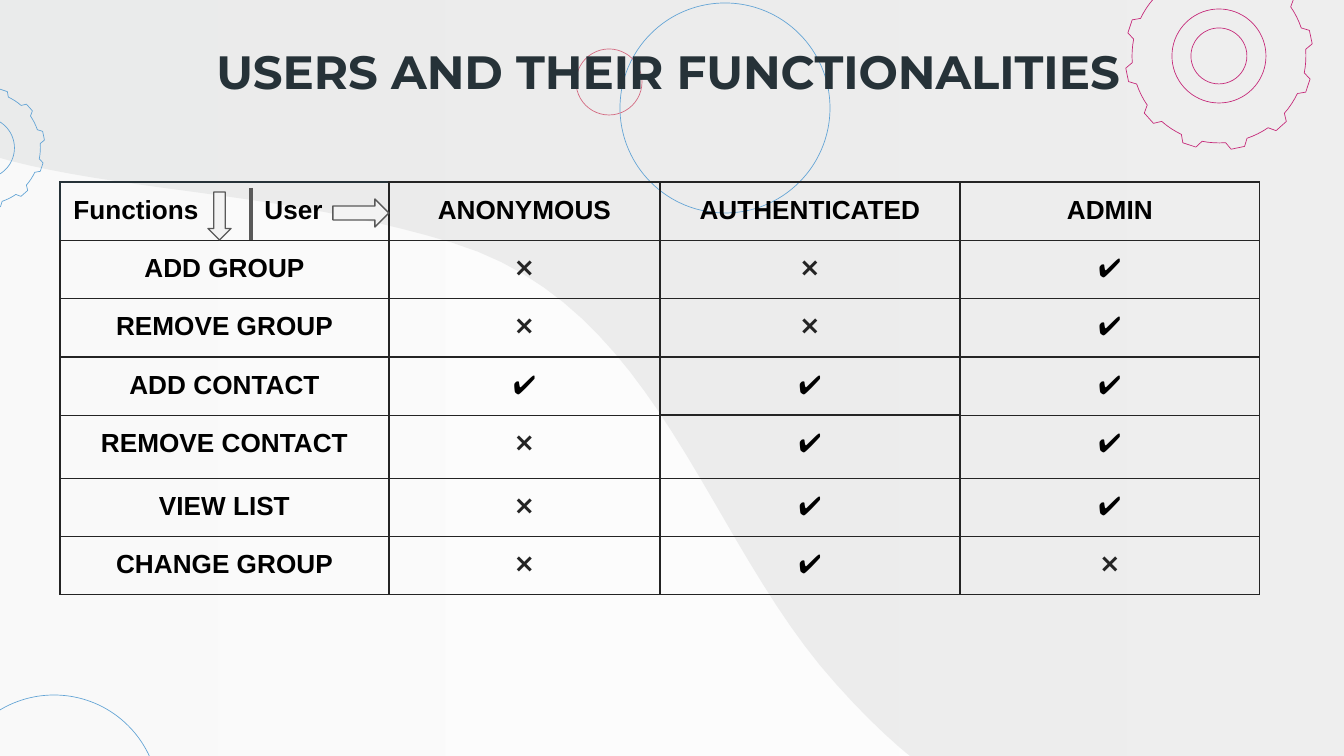
import math

import pptx
import pptx.dml.color
import pptx.enum.shapes
import pptx.enum.text
import pptx.oxml
import pptx.oxml.ns
import pptx.util

SHAPE = pptx.enum.shapes.MSO_SHAPE
ALIGN = pptx.enum.text.PP_ALIGN
ANCHOR = pptx.enum.text.MSO_ANCHOR
NS = pptx.oxml.ns.nsdecls("a")
qn = pptx.oxml.ns.qn
PX = 914400 / 134.4

TITLE = "USERS AND THEIR FUNCTIONALITIES"
HEADERS = ["Functions\tUser", "ANONYMOUS", "AUTHENTICATED", "ADMIN"]
ROWS = [
    ("ADD GROUP", "❌❌✔"),
    ("REMOVE GROUP", "❌❌✔"),
    ("ADD CONTACT", "✔✔✔"),
    ("REMOVE CONTACT", "❌✔✔"),
    ("VIEW LIST", "❌✔✔"),
    ("CHANGE GROUP", "❌✔❌"),
]
COL_WIDTHS = [329, 271, 300, 300]
ROW_HEIGHTS = [58, 58, 58, 58, 63, 58, 58]
TABLE_LEFT, TABLE_TOP = 60, 182
HEAVY_CELL = (3, 2)
USER_TAB = 191

BLUE, ROSE, PINK = "63A4D5", "D36980", "C52878"
INK, NAVY, GREY, PALE = "242424", "263238", "595959", "F3F3F3"

WAVE_START = (-249, -220)
WAVE_CURVES = [
    ((-246, -204), (-192, 66), (-74, 129)),
    ((48, 195), (247, 180), (453, 243)),
    ((659, 306), (704, 538), (836, 684)),
    ((966, 831), (1081, 855), (1223, 864)),
    ((1284, 868), (1325, 886), (1356, 905)),
]
WAVE_CORNER = (1356, -220)
CIRCLES = [
    (725, 108, 105, BLUE),
    (54, 800, 105, BLUE),
    (609, 82, 33, ROSE),
    (1219, 56, 28, PINK),
]
GEARS = [(-16, 148, 61, BLUE), (1219, 56, 94, PINK)]
TEETH, FIRST_TOOTH = 12, 168.4
ARROWS = [
    (SHAPE.DOWN_ARROW, 208, 192, 23, 48),
    (SHAPE.RIGHT_ARROW, 333, 199, 56, 28),
]


def emu(px):
    return pptx.util.Emu(round(px * PX))


def rgb(value):
    return pptx.dml.color.RGBColor.from_string(value)


def style(s, fill=None, line=None, width=0.36, alpha=None):
    s.shadow.inherit = False
    if fill:
        s.fill.solid()
        s.fill.fore_color.rgb = rgb(fill)
    else:
        s.fill.background()
    if line:
        s.line.color.rgb = rgb(line)
        s.line.width = pptx.util.Pt(width)
    else:
        s.line.fill.background()
    if alpha:
        set_alpha(s, alpha)


def set_alpha(s, percent):
    for color in s._element.spPr.iter(qn("a:srgbClr")):
        color.append(pptx.oxml.parse_xml(f'<a:alpha {NS} val="{percent * 1000}"/>'))


def add_preset(kind, x, y, w, h, **look):
    s = slide.shapes.add_shape(kind, emu(x), emu(y), emu(w), emu(h))
    style(s, **look)
    return s


def add_outline(contours, **look):
    contours = [[(emu(x), emu(y)) for x, y in points] for points in contours]
    builder = slide.shapes.build_freeform(*contours[0][0])
    builder.add_line_segments(contours[0][1:], close=True)
    for points in contours[1:]:
        builder.move_to(*points[0])
        builder.add_line_segments(points[1:], close=True)
    style(builder.convert_to_shape(), **look)


def bezier(a, b, c, d, steps=24):
    for i in range(1, steps + 1):
        t = i / steps
        u = 1 - t
        yield tuple(
            u**3 * p + 3 * u * u * t * q + 3 * u * t * t * m + t**3 * n
            for p, q, m, n in zip(a, b, c, d)
        )


def polar(cx, cy, radius, degrees):
    angle = math.radians(degrees)
    return cx + radius * math.cos(angle), cy + radius * math.sin(angle)


def gear(cx, cy, radius):
    root = radius * 0.925
    profile = [(7.2, root), (4.2, radius), (-4.2, radius), (-7.2, root),
               (-11.1, root), (-15, root), (-18.9, root)]
    rim = [polar(cx, cy, r, FIRST_TOOTH - k * 360 / TEETH + offset)
           for k in range(TEETH) for offset, r in profile]
    hole = [polar(cx, cy, radius / 2, a) for a in range(0, 360, 5)]
    return [rim, hole]


def add_run(p, text, size, font, color, bold):
    r = p.add_run()
    r.text = text
    r.font.size = pptx.util.Pt(size)
    r.font.name = font
    r.font.bold = bold
    r.font.color.rgb = rgb(color)


def set_border(cell, edge, color, width):
    cell._tc.get_or_add_tcPr().append(pptx.oxml.parse_xml(
        f'<a:ln{edge} {NS} w="{pptx.util.Pt(width)}"><a:solidFill>'
        f'<a:srgbClr val="{color}"/></a:solidFill></a:ln{edge}>'))


def fill_cell(cell, row, col, text):
    cell.margin_left = cell.margin_right = pptx.util.Inches(0.1)
    cell.margin_top = cell.margin_bottom = pptx.util.Inches(0.1)
    p = cell.text_frame.paragraphs[0]
    corner = row == col == 0
    if corner:
        p._p.get_or_add_pPr().append(pptx.oxml.parse_xml(
            f'<a:tabLst {NS}><a:tab pos="{emu(USER_TAB)}" algn="l"/></a:tabLst>'))
    else:
        p.alignment = ALIGN.CENTER
    color = INK if text == "❌" else "000000"
    add_run(p, text, 14, "Arial", color, row == 0 or col == 0)
    for edge, dr, dc in (("L", 0, -1), ("R", 0, 1), ("T", -1, 0), ("B", 1, 0)):
        heavy = HEAVY_CELL in ((row, col), (row + dr, col + dc))
        shade = NAVY if corner and edge in "LT" else INK
        set_border(cell, edge, shade, 1.5 if heavy else 0.75)
    cell.fill.background()


prs = pptx.Presentation()
prs.slide_width, prs.slide_height = emu(1344), emu(756)
slide = prs.slides.add_slide(prs.slide_layouts[6])

backdrop = add_preset(SHAPE.RECTANGLE, -9, -9, 1363, 775)
backdrop.fill.gradient()
backdrop.fill.gradient_angle = 180
for stop, color in zip(backdrop.fill.gradient_stops, ("FFFFFF", PALE)):
    stop.color.rgb = rgb(color)
set_alpha(backdrop, 41)

wave = [WAVE_START]
for curve in WAVE_CURVES:
    wave.extend(bezier(wave[-1], *curve))
add_outline([wave + [WAVE_CORNER]], fill="D6D7D7", alpha=41)

for cx, cy, radius, color in CIRCLES:
    add_preset(SHAPE.OVAL, cx - radius, cy - radius, 2 * radius, 2 * radius, line=color)
for cx, cy, radius, color in GEARS:
    add_outline(gear(cx, cy, radius), line=color)

tf = slide.shapes.add_textbox(emu(129), emu(0), emu(1078), emu(141)).text_frame
tf.word_wrap = True
tf.vertical_anchor = ANCHOR.MIDDLE
tf.margin_left = tf.margin_right = tf.margin_top = tf.margin_bottom = pptx.util.Inches(0.1)
tf.paragraphs[0].alignment = ALIGN.CENTER
add_run(tf.paragraphs[0], TITLE, 25, "Montserrat", NAVY, True)

grid = [HEADERS] + [[name, *marks] for name, marks in ROWS]
table = slide.shapes.add_table(
    len(grid), len(HEADERS), emu(TABLE_LEFT), emu(TABLE_TOP),
    emu(sum(COL_WIDTHS)), emu(sum(ROW_HEIGHTS))).table
table.first_row = table.horz_banding = False
for column, width in zip(table.columns, COL_WIDTHS):
    column.width = emu(width)
for i, (texts, height) in enumerate(zip(grid, ROW_HEIGHTS)):
    table.rows[i].height = emu(height)
    for j, text in enumerate(texts):
        fill_cell(table.cell(i, j), i, j, text)

divider = slide.shapes.add_connector(
    pptx.enum.shapes.MSO_CONNECTOR.STRAIGHT, emu(251), emu(188), emu(251), emu(240))
divider.line.color.rgb = rgb(GREY)
divider.line.width = pptx.util.Pt(2.25)
divider._element.spPr.append(pptx.oxml.parse_xml(f"<a:effectLst {NS}/>"))
for kind, x, y, w, h in ARROWS:
    add_preset(kind, x, y, w, h, fill=PALE, line=GREY, width=0.75)

prs.save("out.pptx")
